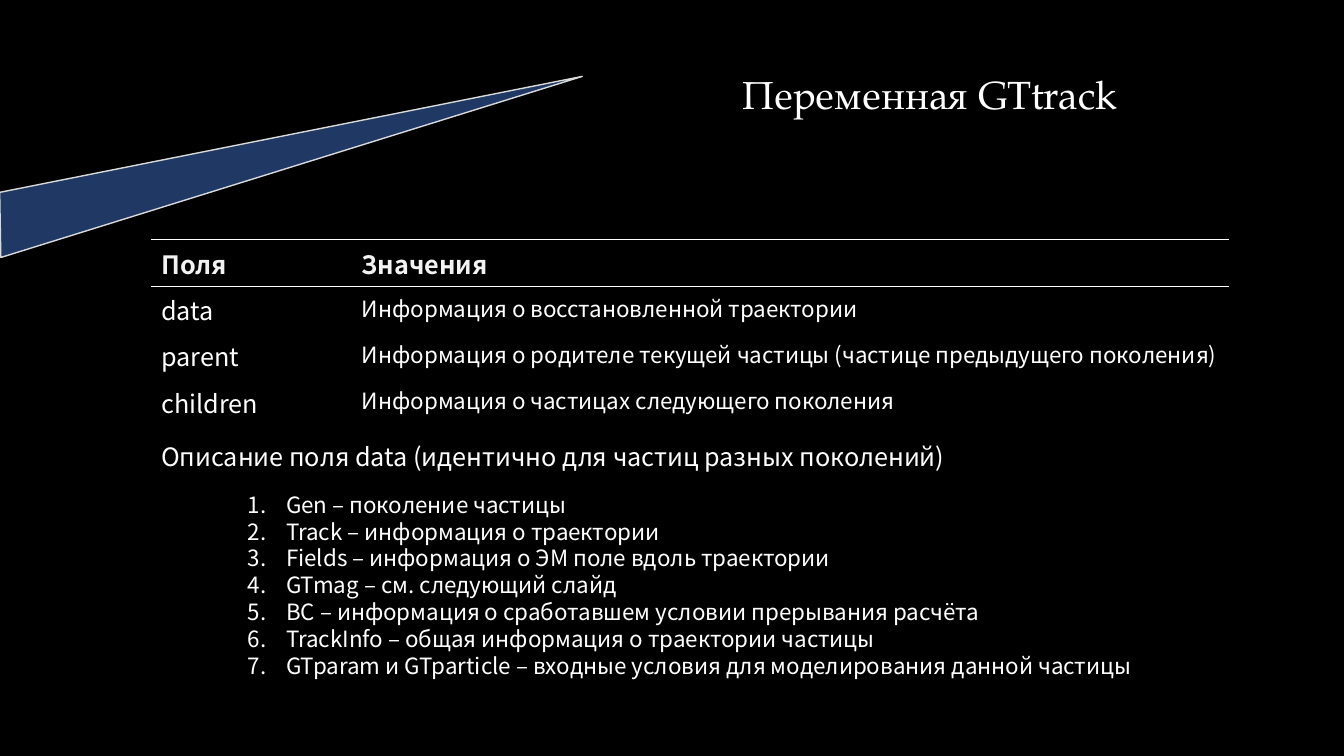
from dataclasses import dataclass

from lxml.etree import SubElement
from pptx import Presentation
from pptx.dml.color import RGBColor
from pptx.enum.shapes import MSO_SHAPE
from pptx.enum.text import MSO_AUTO_SIZE, PP_ALIGN
from pptx.oxml.ns import qn
from pptx.util import Inches, Pt

SANS = "Noto Sans CJK SC"
SERIF = "TeX Gyre Pagella"
WHITE = "FFFFFF"
HEADER_COLOR = "F2F2F2"
PLAIN_TABLE = "{2D5ABB26-0587-4C30-8999-92F81FD0307C}"
ROW_HEIGHT = 0.46


@dataclass
class TextBlock:
    left: float
    top: float
    width: float
    height: float
    lines: list[str]
    size: int
    font: str = SANS
    align: PP_ALIGN = PP_ALIGN.LEFT
    spacing: float = 1.0
    numbered: bool = False
    grows: bool = True


@dataclass
class FieldRow:
    name: str
    meaning: str


TEXT_BLOCKS = [
    TextBlock(5.58, 0.7, 7.29, 0.57, ["Переменная GTtrack"], 28, font=SERIF,
              align=PP_ALIGN.CENTER, spacing=0.9, grows=False),
    TextBlock(2.36, 4.82, 9.83, 1.99, [
        "Gen – поколение частицы",
        "Track – информация о траектории",
        "Fields – информация о ЭМ поле вдоль траектории",
        "GTmag – см. следующий слайд",
        "BC – информация о сработавшем условии прерывания расчёта",
        "TrackInfo – общая информация о траектории частицы",
        "GTparam и GTparticle – входные условия для моделирования данной частицы",
    ], 16, numbered=True),
    TextBlock(1.5, 4.33, 8.86, 0.4,
              ["Описание поля data (идентично для частиц разных поколений)"], 18),
]

FIELD_ROWS = [
    FieldRow("Поля", "Значения"),
    FieldRow("data", "Информация о восстановленной траектории"),
    FieldRow("parent", "Информация о родителе текущей частицы (частице предыдущего поколения)"),
    FieldRow("children", "Информация о частицах следующего поколения"),
]


def color(value: str) -> RGBColor:
    return RGBColor.from_string(value)


def write(para, text: str, *, size: int, font: str = SANS,
          fill: str = WHITE, bold: bool = False) -> None:
    span = para.add_run()
    span.text = text
    span.font.size = Pt(size)
    span.font.name = font
    span.font.bold = bold
    span.font.color.rgb = color(fill)


def number_paragraph(para) -> None:
    properties = para._p.get_or_add_pPr()
    properties.set("marL", str(Inches(0.38)))
    properties.set("indent", str(-Inches(0.38)))
    SubElement(properties, qn("a:buFont"), typeface=SANS)
    SubElement(properties, qn("a:buAutoNum"), type="arabicPeriod")


def add_text(page, block: TextBlock) -> None:
    box = page.shapes.add_textbox(Inches(block.left), Inches(block.top),
                                  Inches(block.width), Inches(block.height))
    frame = box.text_frame
    frame.word_wrap = True
    if block.grows:
        frame.auto_size = MSO_AUTO_SIZE.SHAPE_TO_FIT_TEXT
    for index, line in enumerate(block.lines):
        para = frame.add_paragraph() if index else frame.paragraphs[0]
        if block.numbered:
            number_paragraph(para)
        para.alignment = block.align
        para.line_spacing = block.spacing
        write(para, line, size=block.size, font=block.font)


def add_border(cell, side: str) -> None:
    line = SubElement(cell._tc.get_or_add_tcPr(), qn(f"a:{side}"), w=str(Pt(1)))
    SubElement(SubElement(line, qn("a:solidFill")), qn("a:srgbClr"), val=WHITE)


def add_field_table(page, rows: list[FieldRow]) -> None:
    frame = page.shapes.add_table(len(rows), 2, Inches(1.5), Inches(2.38),
                                  Inches(10.69), Inches(ROW_HEIGHT * len(rows)))
    table = frame.table
    table.horz_banding = False
    table._tbl.tblPr.find(qn("a:tableStyleId")).text = PLAIN_TABLE
    for column, width in zip(table.columns, (1.99, 8.7)):
        column.width = Inches(width)
    for row_index, row in enumerate(rows):
        table.rows[row_index].height = Inches(ROW_HEIGHT)
        header = row_index == 0
        for column_index, text in enumerate((row.name, row.meaning)):
            cell = table.cell(row_index, column_index)
            if header:
                # Rules above and below the header row
                for side in ("lnT", "lnB"):
                    add_border(cell, side)
            cell.fill.background()
            write(cell.text_frame.paragraphs[0], text,
                  size=18 if header or column_index == 0 else 16,
                  fill=HEADER_COLOR if header else WHITE, bold=header)


def add_wedge(page) -> None:
    wedge = page.shapes.add_shape(MSO_SHAPE.ISOSCELES_TRIANGLE, Inches(-0.22),
                                  Inches(1.05), Inches(6.04), Inches(0.62))
    wedge.adjustments[0] = 0.03
    wedge.rotation = 342.7
    wedge.shadow.inherit = False
    wedge.fill.solid()
    wedge.fill.fore_color.rgb = color("203864")
    wedge.line.color.rgb = color("D9D9D9")
    wedge.line.width = Pt(1)


def main() -> None:
    deck = Presentation()
    deck.slide_width, deck.slide_height = Inches(13.33), Inches(7.5)
    page = deck.slides.add_slide(deck.slide_layouts[6])
    page.background.fill.solid()
    page.background.fill.fore_color.rgb = color("000000")

    # Decoration, title, table, then field descriptions
    add_wedge(page)
    title, *descriptions = TEXT_BLOCKS
    add_text(page, title)
    add_field_table(page, FIELD_ROWS)
    for block in descriptions:
        add_text(page, block)

    deck.save("out.pptx")


if __name__ == "__main__":
    main()
